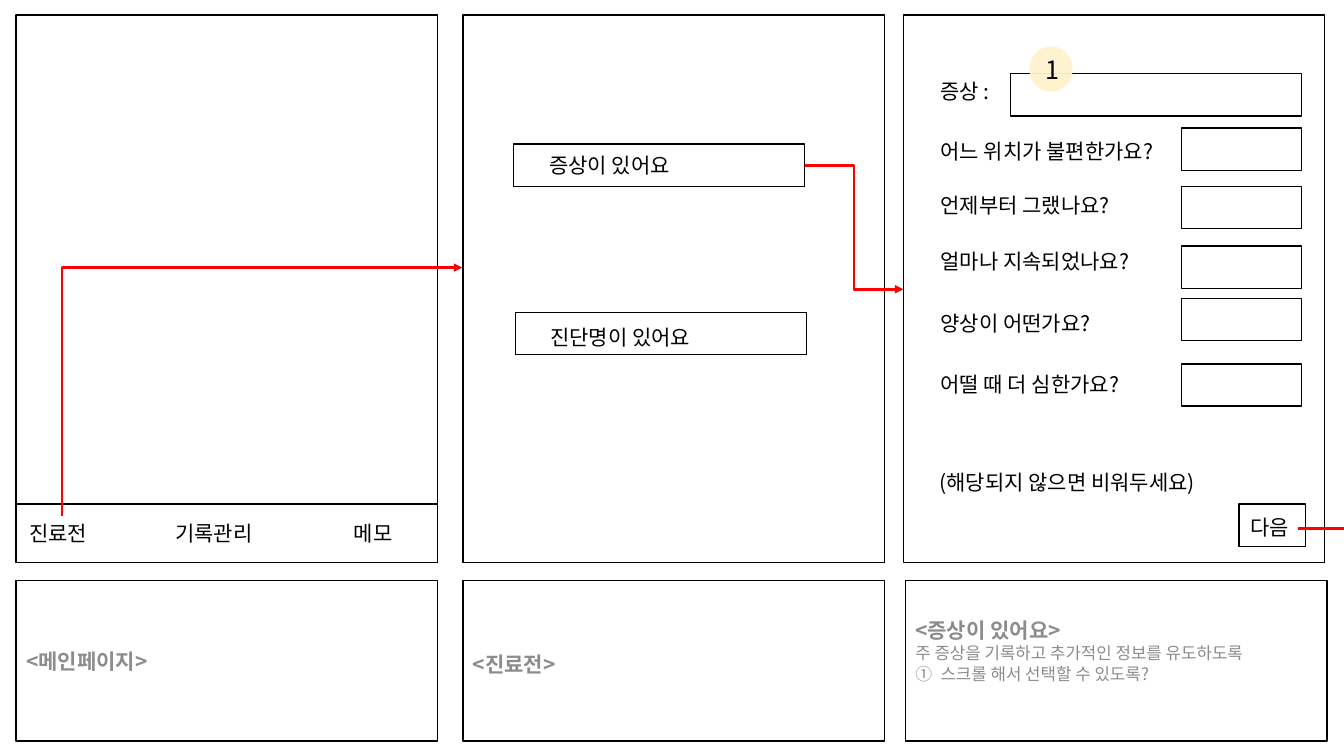
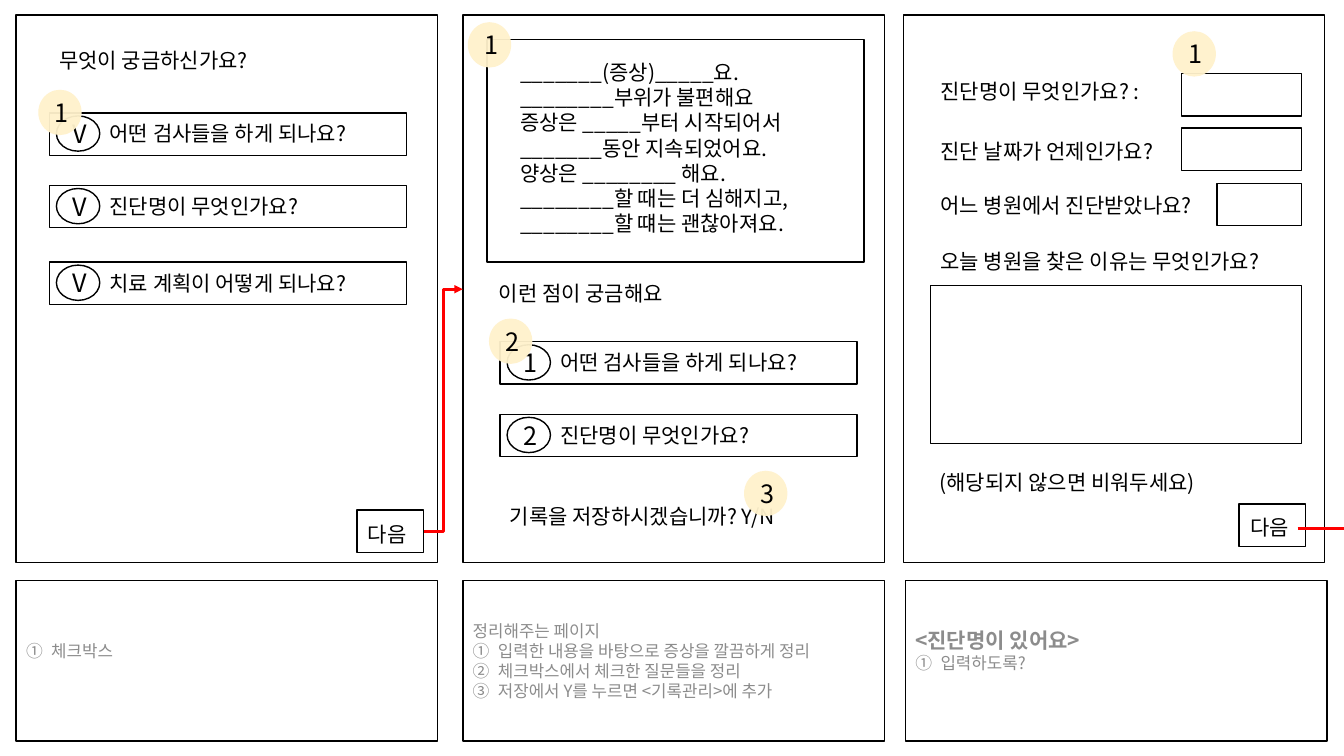
import pptx
import pptx.dml.color
import pptx.enum.dml
import pptx.enum.shapes
import pptx.enum.text
import pptx.oxml.ns
import pptx.util
from lxml import etree

PX = 9144
FONT = "Noto Sans CJK KR"
COLORS = {"ink": "000000", "note": "8C8C8C", "badge": "FFF2CC", "arrow": "FF0000"}
SCREEN_LEFTS = (16, 459, 896)
NOTE_LEFTS = (16, 459, 898)
PANEL_WIDTH = 418
FORM_LEFT = 923
FORM_RIGHT = 1291
SHAPES = pptx.enum.shapes.MSO_SHAPE
CONNECTORS = pptx.enum.shapes.MSO_CONNECTOR


def px(*values):
    return [pptx.util.Emu(value * PX) for value in values]


def color(name):
    return pptx.dml.color.RGBColor.from_string(COLORS[name])


def add_xml(parent, tag, **attributes):
    return etree.SubElement(parent, pptx.oxml.ns.qn(tag), attributes)


def style_paragraph(para, size, ink="ink", bold=False):
    para.font.size = pptx.util.Pt(size)
    para.font.bold = bold
    para.font.color.rgb = color(ink)
    para.font.name = FONT
    properties = para.font._element
    add_xml(properties, "a:ea", typeface=FONT)


def number_paragraph(para):
    properties = para._p.get_or_add_pPr()
    properties.set("marL", str(25 * PX))
    properties.set("indent", str(-25 * PX))
    numbering = add_xml(properties, "a:buAutoNum", type="circleNumDbPlain")
    properties.insert(0, numbering)


def frame(page, left, top, width, height, kind=SHAPES.RECTANGLE):
    box = page.shapes.add_shape(kind, *px(left, top, width, height))
    box.shadow.inherit = False
    box.fill.background()
    box.line.color.rgb = color("ink")
    box.line.width = pptx.util.Pt(1)
    return box


def label(page, left, top, width, *lines):
    box = page.shapes.add_textbox(*px(left, top, width, 35))
    text = box.text_frame
    text.word_wrap = True
    text.auto_size = pptx.enum.text.MSO_AUTO_SIZE.SHAPE_TO_FIT_TEXT
    text.text = "\n".join(lines)
    for para in text.paragraphs:
        style_paragraph(para, 15)


def mark(page, left, top, height, symbol):
    circle = frame(page, left, top, 43, height, SHAPES.OVAL)
    text = circle.text_frame
    text.text = symbol
    text.vertical_anchor = pptx.enum.text.MSO_ANCHOR.MIDDLE
    para = text.paragraphs[0]
    para.alignment = pptx.enum.text.PP_ALIGN.CENTER
    style_paragraph(para, 18)
    return circle


def badge(page, left, top, symbol):
    circle = mark(page, left, top, 45, symbol)
    circle.line.fill.background()
    circle.fill.solid()
    circle.fill.fore_color.rgb = color("badge")
    fill = circle._element.spPr.find(pptx.oxml.ns.qn("a:solidFill"))
    add_xml(fill[0], "a:alpha", val="95000")


def option(page, left, top, symbol, question):
    frame(page, left, top, 354, 42)
    mark(page, left + 7, top + 3, 35, symbol)
    label(page, left + 50, top + 3, 303, question)


def next_button(page, left, top):
    frame(page, left, top, 66, 42)
    label(page, left + 1, top + 6, 83, "다음")


def arrow(page, kind, start, end):
    line = page.shapes.add_connector(kind, *px(*start, *end))
    line.line.color.rgb = color("arrow")
    line.line.width = pptx.util.Pt(2)
    add_xml(line.line._get_or_add_ln(), "a:tailEnd", type="triangle")
    add_xml(line._element.spPr, "a:effectLst")
    return line


def corner_arrow(page, start, end):
    across, rise = end[0] - start[0], start[1] - end[1]
    middle_x, middle_y = (start[0] + end[0]) // 2, (start[1] + end[1]) // 2
    left, top = middle_x - rise // 2, middle_y - across // 2
    line = arrow(page, CONNECTORS.ELBOW, (left + rise, top + across), (left, top))
    properties = line._element.spPr
    properties.find(pptx.oxml.ns.qn("a:xfrm")).set("rot", "5400000")
    properties.find(pptx.oxml.ns.qn("a:prstGeom")).set("prst", "bentConnector2")


def note(page, left, heading="", body="", items=(), shift=0):
    box = frame(page, left, 576, PANEL_WIDTH, 159)
    text = box.text_frame
    text.word_wrap = True
    text.vertical_anchor = pptx.enum.text.MSO_ANCHOR.MIDDLE
    text.margin_top, text.margin_bottom = px(5 + max(2 * shift, 0), 5 + max(-2 * shift, 0))
    lines = [line for line in (heading, body, *items) if line]
    text.text = "\n".join(lines)
    for line, para in zip(lines, text.paragraphs):
        para.alignment = pptx.enum.text.PP_ALIGN.LEFT
        is_heading = line == heading
        style_paragraph(para, 15 if is_heading else 12, "note", is_heading)
        if line in items:
            number_paragraph(para)


def add_page(deck, notes):
    page = deck.slides.add_slide(deck.slide_layouts[6])
    for left in SCREEN_LEFTS:
        frame(page, left, 15, PANEL_WIDTH, 543)
    for left, content in zip(NOTE_LEFTS, notes):
        note(page, left, **content)
    return page


def form_screen(page, questions, fields):
    for top, question in questions:
        label(page, FORM_LEFT, top, 369, question)
    for top, width in fields:
        frame(page, FORM_RIGHT - width, top, width, 42)
    label(page, FORM_LEFT - 1, 461, 369, "(해당되지 않으면 비워두세요)")
    next_button(page, 1229, 500)
    arrow(page, CONNECTORS.STRAIGHT, (1287, 524), (1353, 524))


def symptom_page(deck):
    page = add_page(deck, (
        {"heading": "<메인페이지>"},
        {"heading": "<진료전>", "shift": 3},
        {"heading": "<증상이 있어요>", "body": "주 증상을 기록하고 추가적인 정보를 유도하도록",
         "items": ("스크롤 해서 선택할 수 있도록?",), "shift": -10},
    ))
    frame(page, 16, 500, PANEL_WIDTH, 58)
    for left, width, name in ((19, 86, "진료전"), (164, 106, "기록관리"), (341, 72, "메모")):
        label(page, left, 511, width, name)

    frame(page, 509, 143, 289, 42)
    label(page, 535, 146, 263, "증상이 있어요")
    frame(page, 511, 310, 289, 42)
    label(page, 536, 317, 263, "진단명이 있어요")

    form_screen(page, (
        (73, "증상 :"),
        (132, "어느 위치가 불편한가요?"),
        (186, "언제부터 그랬나요?"),
        (242, "얼마나 지속되었나요?"),
        (303, "양상이 어떤가요?"),
        (364, "어떨 때 더 심한가요?"),
    ), ((73, 289), (127, 119), (185, 119), (244, 119), (296, 119), (361, 119)))
    badge(page, 1021, 46, "1")
    corner_arrow(page, (62, 511), (459, 265))
    arrow(page, CONNECTORS.ELBOW, (798, 164), (896, 287))


def question_page(deck):
    page = add_page(deck, (
        {"items": ("체크박스",), "shift": -10},
        {"body": "정리해주는 페이지", "items": (
            "입력한 내용을 바탕으로 증상을 깔끔하게 정리",
            "체크박스에서 체크한 질문들을 정리",
            "저장에서 Y를 누르면 <기록관리>에 추가",
        )},
        {"heading": "<진단명이 있어요>", "items": ("입력하도록?",), "shift": -10},
    ))
    tests, diagnosis = "어떤 검사들을 하게 되나요?", "진단명이 무엇인가요?"
    label(page, 49, 42, 364, "무엇이 궁금하신가요?")
    for top, question in ((112, tests), (184, diagnosis), (260, "치료 계획이 어떻게 되나요?")):
        option(page, 49, top, "V", question)
    next_button(page, 354, 506)

    frame(page, 483, 39, 374, 221)
    label(page, 506, 54, 321,
          "_______(증상)_____요.",
          "________부위가 불편해요",
          "증상은 _____부터 시작되어서",
          "_______동안 지속되었어요.",
          "양상은 ________ 해요.",
          "________할 때는 더 심해지고, ________할 떄는 괜찮아져요.")
    label(page, 485, 273, 364, "이런 점이 궁금해요")
    for top, symbol, question in ((339, "1", tests), (411, "2", diagnosis)):
        option(page, 496, top, symbol, question)
    label(page, 496, 495, 353, "기록을 저장하시겠습니까? Y/N")

    form_screen(page, (
        (73, "진단명이 무엇인가요? :"),
        (132, "진단 날짜가 언제인가요?"),
        (186, "어느 병원에서 진단받았나요?"),
        (242, "오늘 병원을 찾은 이유는 무엇인가요?"),
    ), ((73, 119), (127, 119), (182, 84)))
    frame(page, FORM_LEFT, 283, 368, 157)

    for left, top, symbol in ((38, 89, "1"), (464, 22, "1"), (485, 316, "2"),
                              (738, 467, "3"), (1163, 31, "1")):
        badge(page, left, top, symbol)
    arrow(page, CONNECTORS.ELBOW, (421, 527), (459, 287))


def main():
    deck = pptx.Presentation()
    deck.slide_width, deck.slide_height = px(1333, 750)
    symptom_page(deck)
    question_page(deck)
    deck.save("out.pptx")


if __name__ == "__main__":
    main()
